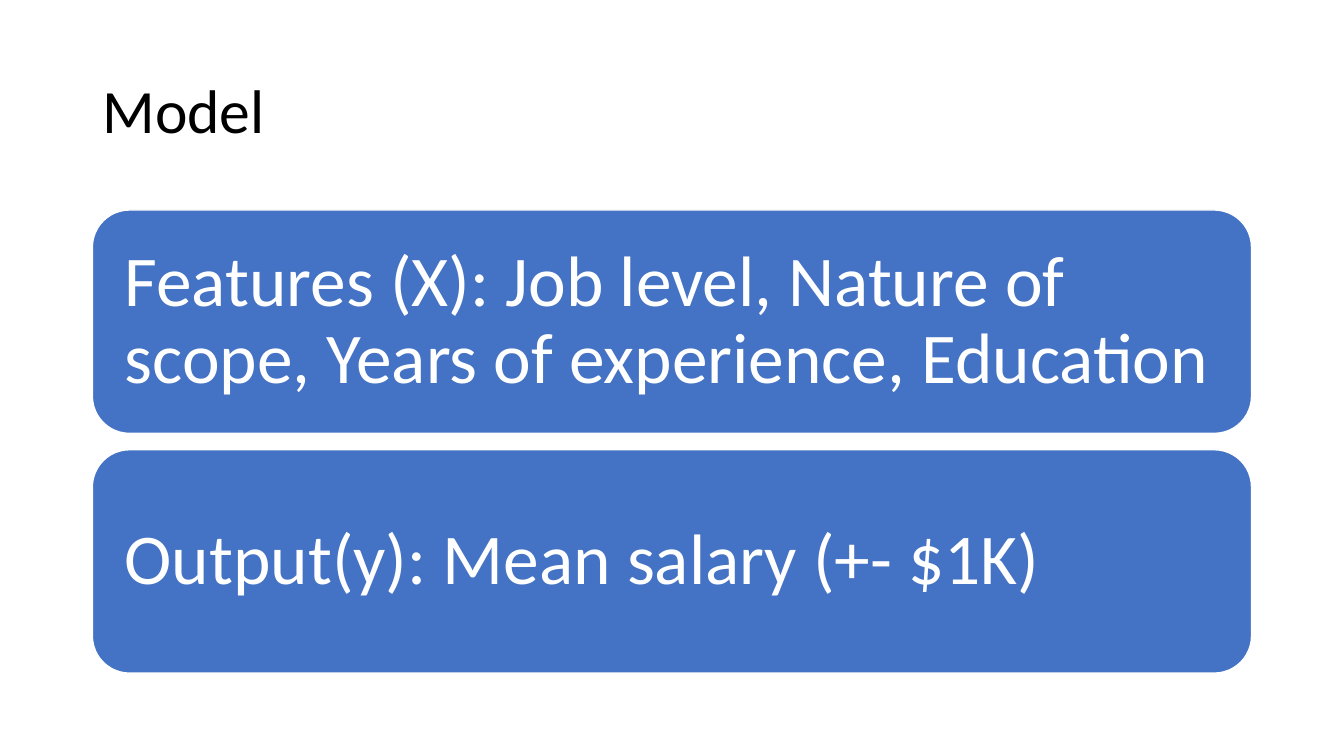
import dataclasses

import pptx
import pptx.dml.color
import pptx.enum.shapes
import pptx.enum.text
import pptx.presentation
import pptx.slide
import pptx.text.text
import pptx.util

Pt = pptx.util.Pt
HUES = {"card": "4472C4", "light": "FFFFFF", "dark": "000000"}
LEFT, WIDTH = 66, 828
TOP, HEIGHT, STEP = 150, 159.6, 171.25


@dataclasses.dataclass
class Card:
    """A rounded panel with its row and wording."""
    row: int
    text: str


CARDS = [
    Card(0, "Features (X): Job level, Nature of scope, Years of experience, Education"),
    Card(1, "Output(y): Mean salary (+- $1K)"),
]


def tint(name: str) -> pptx.dml.color.RGBColor:
    """Return the named colour."""
    return pptx.dml.color.RGBColor.from_string(HUES[name])


def write(frame: pptx.text.text.TextFrame, text: str, size: float, hue: str, inset: float) -> None:
    """Write one left-aligned line of text, centred in height."""
    frame.word_wrap = True
    frame.auto_size = pptx.enum.text.MSO_AUTO_SIZE.NONE
    frame.vertical_anchor = pptx.enum.text.MSO_ANCHOR.MIDDLE
    frame.margin_left = frame.margin_right = Pt(inset)
    frame.margin_top = frame.margin_bottom = Pt(inset)
    para = frame.paragraphs[0]
    para.alignment = pptx.enum.text.PP_ALIGN.LEFT
    para.line_spacing = 0.9
    run = para.add_run()
    run.text = text
    run.font.name = "Calibri"
    run.font.size = Pt(size)
    run.font.color.rgb = tint(hue)


def draw(slide: pptx.slide.Slide, card: Card) -> None:
    """Draw one card in its row."""
    shape = slide.shapes.add_shape(
        pptx.enum.shapes.MSO_SHAPE.ROUNDED_RECTANGLE,
        Pt(LEFT), Pt(TOP + card.row * STEP), Pt(WIDTH), Pt(HEIGHT))
    shape.name = f"Card {card.row + 1}"
    shape.shadow.inherit = False
    shape.fill.solid()
    shape.fill.fore_color.rgb = tint("card")
    shape.line.color.rgb = tint("light")
    shape.line.width = Pt(1)
    write(shape.text_frame, card.text, 51, "light", 15.3)


def main() -> None:
    """Build and save the slide."""
    deck = pptx.Presentation()
    deck.slide_width, deck.slide_height = Pt(960), Pt(540)
    slide = deck.slides.add_slide(deck.slide_layouts[5])
    title = slide.shapes.title
    title.left, title.top = Pt(LEFT), Pt(28.75)
    title.width, title.height = Pt(WIDTH), Pt(104.4)
    write(title.text_frame, "Model", 44, "dark", 7.2)
    for card in CARDS:
        draw(slide, card)
    deck.save("out.pptx")


if __name__ == "__main__":
    main()
